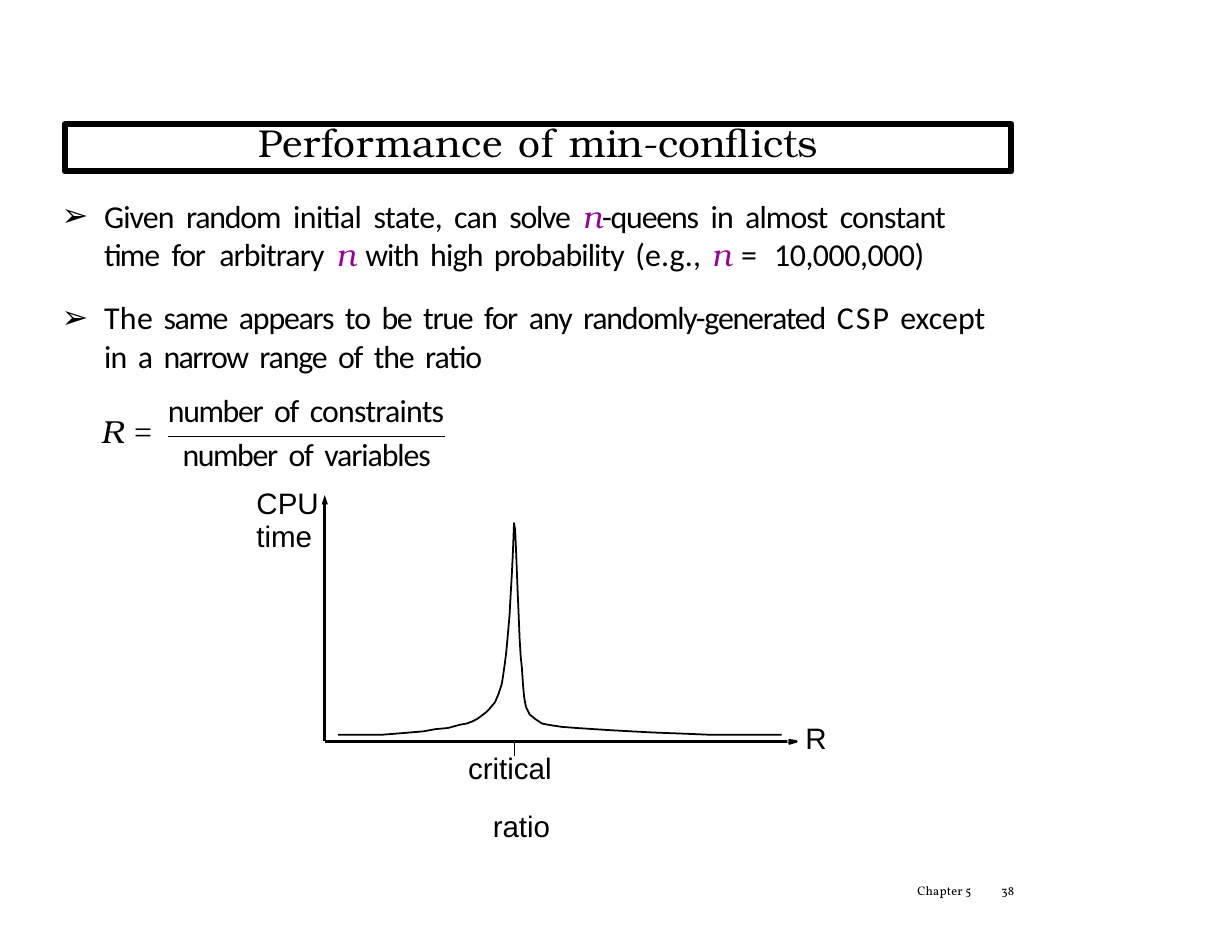
from lxml.etree import SubElement
from pptx import Presentation
from pptx.dml.color import RGBColor
from pptx.enum.shapes import MSO_CONNECTOR
from pptx.enum.text import MSO_ANCHOR, MSO_AUTO_SIZE, PP_ALIGN
from pptx.oxml.ns import qn
from pptx.util import Inches, Pt

# Content: runs are (text, letter spacing in points, extra format)
BLACK, WHITE, PURPLE = "000000", "FFFFFF", "990099"
SERIF, SANS, LABEL, FOOT = "TeX Gyre Bonum", "Calibri", "Arial", "Vollkorn"
WORD_GAP = 2  # extra width of the spaces between sans words
TIGHT = {"gap": WORD_GAP}
VARIABLE = {"font": SERIF, "color": PURPLE, "italic": True, "gap": 0}

TITLE = [("Performance ", 0.4), ("of ", 0.5), ("min-conflicts", -0.1)]
BULLETS = [
    [("Given ", -0.6), ("random ", -0.8), ("initial state, ", -0.3), ("can ", -0.5),
     ("solve ", -0.8), ("n", -0.8, VARIABLE), ("-queens ", -0.8), ("in ", -0.5),
     ("almost ", -0.6), ("constant ", -0.5), ("time ", -0.7),
     ("for ", -0.9, {"gap": 4}), ("arbitrary ", -0.6), ("n ", -0.7, VARIABLE),
     ("with ", -0.7, TIGHT), ("high ", -0.5, TIGHT), ("probability ", -0.6, TIGHT),
     ("(e.g., ", 0.1, TIGHT), ("n ", -0.7, VARIABLE), ("= ", 0, {"gap": 6.4}),
     ("10,000,000)", -0.3)],
    [("The ", 0.2), ("same ", -0.9), ("appears ", -0.8), ("to ", -0.6), ("be ", -1),
     ("true ", -0.8), ("for ", -0.9), ("any ", -0.6), ("randomly-generated ", -0.8),
     ("CSP ", 1.4, {"gap": 1}), ("except ", 0), ("in ", -0.5), ("a ", -0.6),
     ("narrow ", -1), ("range of the ", -0.8), ("ratio", -0.5)],
]
BULLET_FORMATS = [{"before": 0.8, "gap": 2.7}, {"before": 15.6, "gap": WORD_GAP}]

# Labels: left, top, width, height, top inset, paragraphs, format
FORMULA = {"size": 20.5, "font": SANS, "gap": WORD_GAP, "before": 1.1}
AXIS = {"size": 19, "font": LABEL}
FOOTER = {"size": 8, "font": FOOT, "spacing": Pt(8.8)}
LABELS = [
    (0.9, 3.66, 0.6, 0.37, 0.02,
     [[("R ", 1, {"italic": True}), ("=", 1.2, {"font": "Times New Roman"})]],
     {**FORMULA, "font": SERIF, "gap": 0}),
    (1.5, 3.47, 2.6, 0.37, 0.02,
     [[("number ", -0.9), ("of ", -0.8), ("constraints", -0.5)]], FORMULA),
    (1.63, 3.86, 2.4, 0.37, 0.02,
     [[("number ", -0.9), ("of ", -0.8), ("variables", -0.7)]], FORMULA),
    (2.29, 4.35, 0.7, 0.61, 0.01, [[("CPU", 0)], [("time", 0)]],
     {**AXIS, "spacing": Pt(20.9)}),
    (7.19, 6.42, 0.3, 0.34, 0.01, [[("R", 0)]], AXIS),
    (4.18, 6.68, 0.9, 0.3, 0.07, [[("critical", 0)]], {**AXIS, "spacing": Pt(19)}),
    (4.4, 7.2, 0.7, 0.3, 0.07, [[("ratio", 0)]], {**AXIS, "spacing": Pt(19)}),
    (8.19, 7.9, 0.6, 0.14, 0, [[("Chapter", 0.1), (" 5", 0.2)]], FOOTER),
    (8.94, 7.9, 0.25, 0.14, 0, [[("38", 0.2)]], FOOTER),
]

# Lines: from, to, width, arrow at the end
ORIGIN = (2.9, 6.62)
LINES = [
    ((1.5, 3.9), (3.97, 3.9), 0.48, False),
    (ORIGIN, (2.9, 4.42), 1.7, True),
    (ORIGIN, (7.11, 6.62), 1.7, False),
    ((4.59, 6.62), (4.59, 6.75), 0.6, False),
]
ARROW_GAP = [(7.03, 6.59), (7.03, 6.65), (7.16, 6.62)]
ARROW_TIP = [(7.04, 6.61), (7.11, 6.62), (7.04, 6.64)]
CURVE = [
    (3.02, 6.56), (3.29, 6.56), (3.41, 6.56), (3.54, 6.55), (3.66, 6.54), (3.78, 6.53),
    (3.89, 6.51), (4, 6.5), (4.11, 6.47), (4.17, 6.46), (4.22, 6.44), (4.26, 6.42),
    (4.3, 6.39), (4.34, 6.36), (4.37, 6.33), (4.42, 6.27), (4.45, 6.2), (4.48, 6.11),
    (4.49, 6.05), (4.5, 5.98), (4.51, 5.91), (4.52, 5.83), (4.53, 5.72), (4.54, 5.61),
    (4.55, 5.49), (4.56, 5.31), (4.57, 5.14), (4.58, 4.93), (4.59, 4.67), (4.6, 4.73),
    (4.61, 4.96), (4.62, 5.22), (4.63, 5.46), (4.64, 5.7), (4.65, 5.87), (4.66, 5.96),
    (4.67, 6.11), (4.68, 6.22), (4.69, 6.28), (4.7, 6.32), (4.73, 6.38), (4.78, 6.42),
    (4.84, 6.46), (4.89, 6.47), (4.95, 6.48), (5.02, 6.49), (5.15, 6.5), (5.3, 6.51),
    (5.46, 6.52), (5.64, 6.53), (5.83, 6.54), (6.09, 6.55), (6.34, 6.56), (6.98, 6.56),
]


def color(hex_string):
    return RGBColor.from_string(hex_string)


def add_run(paragraph, text, letter_spacing, size, font, color_hex, italic):
    run = paragraph.add_run()
    run.text = text
    run.font.size, run.font.name, run.font.italic = Pt(size), font, italic
    run.font.color.rgb = color(color_hex)
    run._r.get_or_add_rPr().set("spc", str(round(letter_spacing * 100)))


def write(paragraph, runs, size, font, gap=0, before=0, spacing=1.0, align=PP_ALIGN.LEFT):
    """Write runs; spaces that end or divide words get their own spacing."""
    paragraph.alignment = align
    paragraph.space_before, paragraph.line_spacing = Pt(before), spacing
    for text, letter_spacing, *extra in runs:
        style = {"font": font, "color": BLACK, "italic": False, "gap": gap}
        style.update(*extra)
        look = (size, style["font"], style["color"], style["italic"])
        for index, word in enumerate(text.split(" ")):
            if index:
                add_run(paragraph, " ", style["gap"], *look)
            if word:
                add_run(paragraph, word, letter_spacing, *look)


def prepare(shape, left, top, width, height, inset=0):
    shape.left, shape.top = Inches(left), Inches(top)
    shape.width, shape.height = Inches(width), Inches(height)
    frame = shape.text_frame
    frame.margin_left = frame.margin_right = frame.margin_bottom = 0
    frame.margin_top = Inches(inset)
    frame.word_wrap, frame.auto_size = True, MSO_AUTO_SIZE.NONE
    frame.vertical_anchor = MSO_ANCHOR.TOP
    return frame


def paragraphs_for(frame, items):
    for index, item in enumerate(items):
        yield (frame.add_paragraph() if index else frame.paragraphs[0]), item


def add_line(slide, start, end, width, arrow):
    points = [Inches(value) for value in (*start, *end)]
    connector = slide.shapes.add_connector(MSO_CONNECTOR.STRAIGHT, *points)
    connector.line.width = Pt(width)
    connector.line.color.rgb = color(BLACK)
    if arrow:
        SubElement(connector.line._get_or_add_ln(), qn("a:tailEnd"),
                   type="triangle", w="sm", len="med")
    SubElement(connector._element.spPr, qn("a:effectLst"))


def add_outline(slide, points, width=None, fill=None):
    """Draw an open line of the given width, or a closed filled area."""
    start, *rest = [(Inches(x), Inches(y)) for x, y in points]
    builder = slide.shapes.build_freeform(*start)
    builder.add_line_segments(rest, close=fill is not None)
    shape = builder.convert_to_shape()
    shape.shadow.inherit = False
    if fill:
        shape.fill.solid()
        shape.fill.fore_color.rgb = color(fill)
        shape.line.fill.background()
    else:
        shape.fill.background()
        shape.line.color.rgb, shape.line.width = color(BLACK), Pt(width)


def main():
    presentation = Presentation()
    presentation.slide_width, presentation.slide_height = Inches(11), Inches(8.5)
    slide = presentation.slides.add_slide(presentation.slide_layouts[1])
    title, body = slide.shapes.title, slide.placeholders[1]

    # Framed title
    frame = prepare(title, 0.58, 1.11, 8.45, 0.42)
    title.line.color.rgb, title.line.width = color(BLACK), Pt(4.08)
    write(frame.paragraphs[0], TITLE, 25, SERIF, gap=1.9, spacing=Pt(26.4),
          align=PP_ALIGN.CENTER)

    # Bullets
    frame = prepare(body, 0.54, 1.74, 8.35, 1.62, 0.01)
    for (paragraph, runs), style in zip(paragraphs_for(frame, BULLETS), BULLET_FORMATS):
        write(paragraph, runs, 20.5, SANS, spacing=1.01, **style)
        properties = paragraph._p.get_or_add_pPr()
        properties.set("marL", str(Inches(0.39)))
        properties.set("indent", str(-Inches(0.38)))
        SubElement(properties, qn("a:buChar"), char="➢")

    # Fraction bar, axes and critical mark
    for line in LINES:
        add_line(slide, *line)

    # Arrow of the R axis and cost curve
    add_outline(slide, ARROW_GAP, fill=WHITE)
    add_outline(slide, ARROW_TIP, width=1.7)
    add_outline(slide, CURVE, width=1.13)

    # Formula, axis labels and footer
    for left, top, width, height, inset, texts, style in LABELS:
        box = slide.shapes.add_textbox(0, 0, 0, 0)
        frame = prepare(box, left, top, width, height, inset)
        for paragraph, runs in paragraphs_for(frame, texts):
            write(paragraph, runs, **style)

    presentation.save("out.pptx")


if __name__ == "__main__":
    main()
